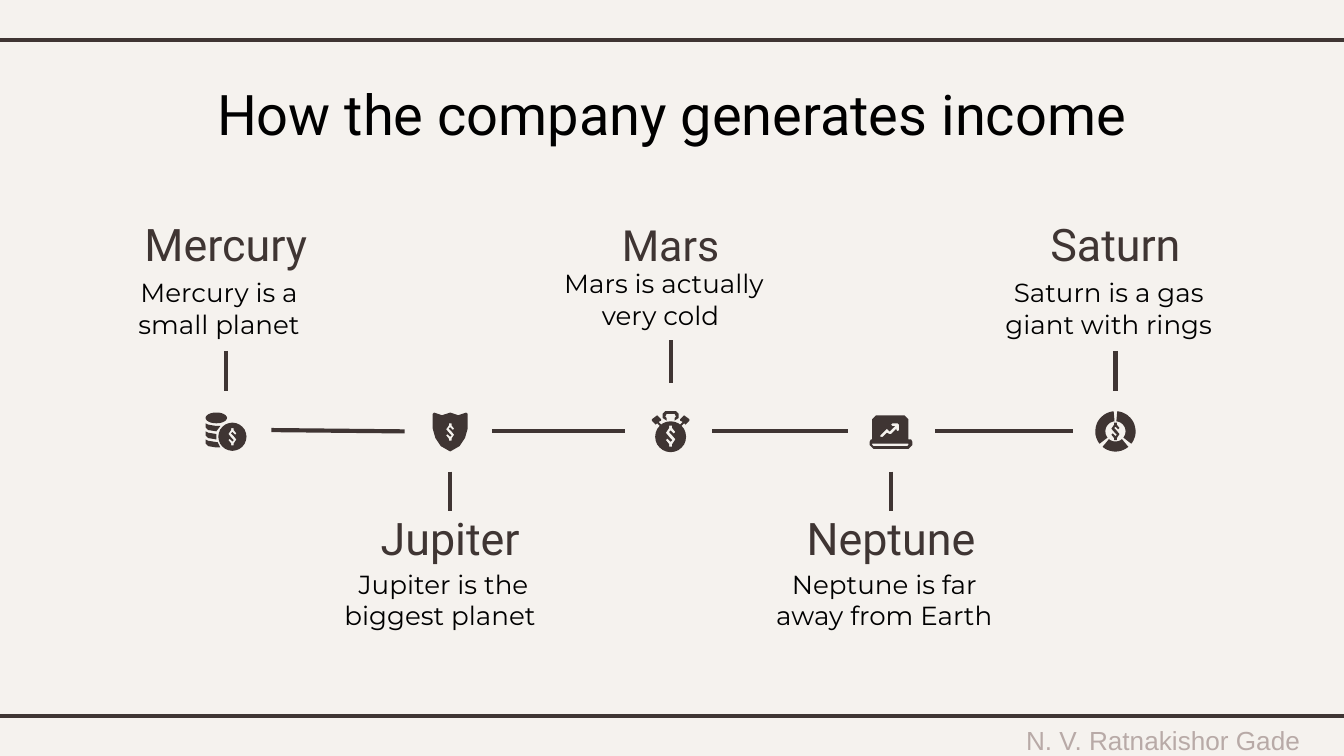
"""Builds a five-step planet timeline slide about how the company generates income."""
import math

import lxml.etree
import pptx
import pptx.dml.color
import pptx.enum.shapes
import pptx.enum.text
import pptx.oxml.ns
import pptx.util

WIDTH = 10
HEIGHT = WIDTH * 9 / 16
DARK, BLACK, PAPER, MUTED = "3F3533", "000000", "F5F2EE", "B8AAA7"
AXIS = 3.21
TITLE = "How the company generates income"
FOOTER = "N. V. Ratnakishor Gade"
TOP = {"heading": (1.61, 0.32), "body": (2.06, 0.56), "tick": (2.61, 2.91), "size": 24, "width": 1.77}
MIDDLE = {"heading": (1.63, 0.38), "body": (2.02, 0.51), "tick": (2.53, 2.85), "size": 23, "width": 1.67}
BOTTOM = {"heading": (3.8, 0.35), "body": (4.23, 0.6), "tick": (3.51, 3.8), "size": 24, "width": 1.77}
STEPS = [
    ("Mercury", "Mercury is a small planet", 1.68, TOP, "coins"),
    ("Jupiter", "Jupiter is the biggest planet ", 3.35, BOTTOM, "shield"),
    ("Mars", "Mars is actually very cold ", 4.99, MIDDLE, "stopwatch"),
    ("Neptune", "Neptune is far away from Earth", 6.63, BOTTOM, "laptop"),
    ("Saturn", "Saturn is a gas giant with rings", 8.3, TOP, "donut"),
]
LINKS = [(2.02, 3.2, 3.01), (3.66, AXIS, 4.65), (5.3, AXIS, 6.31), (6.96, AXIS, 7.98)]
RULES = [0.3, 5.33]


def arc(x, y, radius_x, radius_y, start=0, end=360, steps=24):
    angles = [math.radians(start + (end - start) * i / steps) for i in range(steps + 1)]
    return [(x + radius_x * math.cos(a), y + radius_y * math.sin(a)) for a in angles]


def dollar(x, y, scale=1):
    half = [(-1, -6.5), (1, -6.5), (1, -5), (3, -2.5), (2, -1.5), (1, -2.5),
            (0, -3.5), (-1, -2.5), (0.5, -1), (3, 2), (1, 5)]
    return [(x + sign * scale * px, y + sign * scale * py) for sign in (1, -1) for px, py in half]


def mirrored(points):
    return [(-x, y) for x, y in points]


def coin_band(y, right):
    return [(-7, y + 2), (-13, y + 1), (-15, y), (-15, y + 3), (-13, y + 5), (-7, y + 6)] + right


def ring_part(start, end):
    return arc(0, 0, 15, 15, start, end) + arc(0, 0, 7.5, 7.5, end, start)


SHIELD_HALF = [(0, -14), (6, -12), (12, -14), (13, -13), (13, -2), (11, 5), (7, 11), (0, 15)]
BUTTON = [(-10, -12), (-14, -9), (-14, -8), (-11, -5), (-10, -6), (-8, -4),
          (-7, -5), (-9, -7), (-7, -8), (-7, -9)]
ICONS = {
    "coins": [arc(5, 4, 10.5, 10.5), dollar(5, 4), arc(-7, -10, 8, 4),
              coin_band(-6, [(-4, -4)]), coin_band(0, []), coin_band(6, [(-4, 12), (-6, 8)])],
    "shield": [SHIELD_HALF + mirrored(SHIELD_HALF[::-1]), dollar(0, 0.5)],
    "stopwatch": [
        arc(0, 4, 11.5, 11.5), dollar(0, 3.5, 1.2), BUTTON, mirrored(BUTTON),
        [(-3, -8), (-6, -10), (-6, -13), (-4, -15), (4, -15), (6, -13), (6, -10), (3, -8),
         (3, -10), (4, -11), (3, -13), (-3, -13), (-4, -11), (-3, -10)]],
    "laptop": [
        [(-14, 6), (-14, -9), (-11, -12), (10, -12), (13, -9), (13, 6), (15, 6), (16, 8),
         (16, 10), (13, 13), (-13, 13), (-16, 10), (-16, 8), (-15, 6)],
        [(-14, 9), (13, 9), (13, 10), (12, 11), (-13, 11), (-14, 10)],
        [(1, -6), (5, -6), (6, -5), (6, -1), (5, 0), (4, -1), (4, -2), (0, 2), (-1, 2), (-3, 1),
         (-6, 4), (-8, 4), (-8, 3), (-4, -1), (-3, -2), (-1, 0), (3, -4), (1, -4), (0, -5)]],
    "donut": [ring_part(-85, 38), ring_part(50, 130), ring_part(142, 265), dollar(0, 0)],
}


def color(value):
    return pptx.dml.color.RGBColor.from_string(value)


def add_text(slide, text, box, size, font, fill, insets=(0, 0, 0, 0), middle=False):
    shape = slide.shapes.add_textbox(*[pptx.util.Inches(length) for length in box])
    frame = shape.text_frame
    frame.word_wrap = True
    frame.margin_left, frame.margin_top, frame.margin_right, frame.margin_bottom = [
        pptx.util.Inches(inset) for inset in insets]
    anchors = pptx.enum.text.MSO_ANCHOR
    frame.vertical_anchor = anchors.MIDDLE if middle else anchors.TOP
    paragraph = frame.paragraphs[0]
    paragraph.text = text
    paragraph.alignment = pptx.enum.text.PP_ALIGN.CENTER
    paragraph.font.size = pptx.util.Pt(size)
    paragraph.font.name = font
    paragraph.font.color.rgb = color(fill)


def add_line(slide, *ends):
    line = slide.shapes.add_connector(
        pptx.enum.shapes.MSO_CONNECTOR.STRAIGHT, *[pptx.util.Inches(end) for end in ends])
    line.line.color.rgb = color(DARK)
    line.line.width = pptx.util.Pt(2.25)
    properties = line._element.spPr
    lxml.etree.SubElement(properties, pptx.oxml.ns.qn("a:effectLst"))


def add_icon(slide, contours, x, y):
    contours = [[(px * 10, py * 10) for px, py in contour] for contour in contours]
    builder = slide.shapes.build_freeform(*contours[0][0], scale=pptx.util.Inches(0.001))
    for index, contour in enumerate(contours):
        if index:
            builder.move_to(*contour[0])
        builder.add_line_segments(contour[1:], close=True)
    shape = builder.convert_to_shape(pptx.util.Inches(x), pptx.util.Inches(y))
    shape.shadow.inherit = False
    shape.fill.solid()
    shape.fill.fore_color.rgb = color(DARK)
    shape.line.fill.background()


def main():
    presentation = pptx.Presentation()
    presentation.slide_width = pptx.util.Inches(WIDTH)
    presentation.slide_height = pptx.util.Inches(HEIGHT)
    slide = presentation.slides.add_slide(presentation.slide_layouts[6])
    slide.background.fill.solid()
    slide.background.fill.fore_color.rgb = color(PAPER)

    add_text(slide, FOOTER, (7.31, 5.41, 2.69, 0.19), 14, "Arial", MUTED, middle=True)
    for y in RULES:
        add_line(slide, -0.08, y, WIDTH + 0.08, y)
    add_text(slide, TITLE, (0.78, 0.49, 8.44, 0.63), 30, "Roboto", BLACK, (0.1,) * 4)
    for start, y, end in LINKS:
        add_line(slide, start, y, end, AXIS)
    for name, body, x, row, icon in STEPS:
        left, width = x - row["width"] / 2, row["width"]
        for text, part, size, font, fill, inset in (
                (name, "heading", row["size"], "Roboto", DARK, 0),
                (body, "body", 14, "Montserrat", BLACK, 0.1)):
            top, height = row[part]
            add_text(slide, text, (left, top, width, height), size, font, fill,
                     (0, 0, inset, inset), row is MIDDLE)
        add_line(slide, x, row["tick"][0], x, row["tick"][1])
        add_icon(slide, ICONS[icon], x, AXIS)
    presentation.save("out.pptx")


if __name__ == "__main__":
    main()
